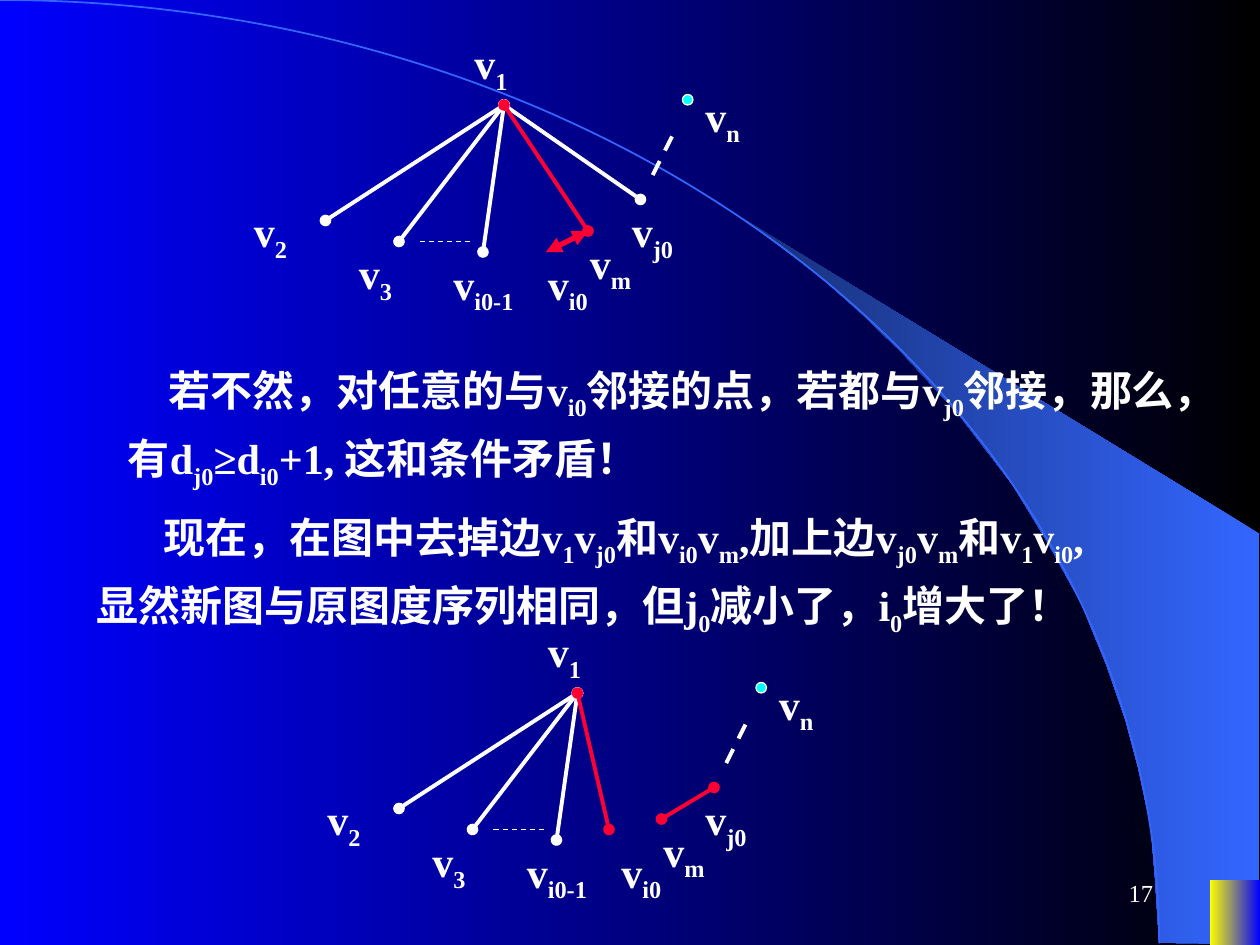
from lxml import etree
from pptx import Presentation
from pptx import util as u
from pptx.dml.color import RGBColor
from pptx.enum import dml, shapes, text
from pptx.oxml.ns import qn

PX = 7620
WHITE, RED, CYAN = "FFFFFF", "FF0033", "00FFFF"


def paint(fill, *colours):
    if len(colours) == 1:
        fill.solid()
        fill.fore_color.rgb = RGBColor.from_string(colours[0])
        return
    fill.gradient()
    fill.gradient_angle = 180
    for stop, colour in zip(fill.gradient_stops, colours):
        stop.color.rgb = RGBColor.from_string(colour)


def write(left, top, width, height, lines, size=24, bold=True):
    box = slide.shapes.add_textbox(left * PX, top * PX, width * PX, height * PX)
    frame = box.text_frame
    frame.word_wrap = True
    for number, line in enumerate(lines):
        paragraph = frame.paragraphs[0] if number == 0 else frame.add_paragraph()
        for index, part in enumerate(line.split("|")):
            if not part:
                continue
            run = paragraph.add_run()
            run.text = part
            run.font.name = "Times New Roman"
            run.font.size = u.Pt(size)
            run.font.bold = bold
            paint(run.font.fill, WHITE)
            if index % 2:
                run.font._element.set("baseline", "-25000")
    return frame


presentation = Presentation()
presentation.slide_width = 1200 * PX
presentation.slide_height = 900 * PX
slide = presentation.slides.add_slide(presentation.slide_layouts[6])
paint(slide.background.fill, "000000", "0000FF")

beam_points = [
    (1104, 898), (1199, 899), (1199, 508), (707, 208), (749, 239), (784, 266),
    (822, 300), (859, 336), (914, 396), (964, 461), (998, 517), (1030, 575),
    (1054, 634), (1072, 686), (1084, 731), (1096, 787), (1100, 835),
]
builder = slide.shapes.build_freeform(*beam_points[0], scale=PX)
builder.add_line_segments(beam_points[1:])
beam = builder.convert_to_shape()
beam.shadow.inherit = False
paint(beam.fill, "3366FF", "172F75")
beam.line.fill.background()

arc = slide.shapes.add_shape(
    shapes.MSO_SHAPE.ARC, -1104 * PX, 0, 2208 * PX, 1797 * PX)
arc.shadow.inherit = False
arc.fill.background()
paint(arc.line.fill, "3366FF")
arc.line.width = u.Pt(1)

corner = slide.shapes.add_shape(
    shapes.MSO_SHAPE.RECTANGLE, 1152 * PX, 838 * PX, 48 * PX, 62 * PX)
corner.shadow.inherit = False
paint(corner.fill, "0000FF", "FFFF00")
corner.line.fill.background()

arguments = [
    (50, 330, [
        (39, "若不然，对任意的与v|i0|邻接的点，若都与v|j0|邻接，那么，有d|j0|≥d|i0|+1, 这和条件矛盾！"),
    ]),
    (80, 470, [
        (4, "现在，在图中去掉边v|1|v|j0|和v|i0|v|m|,加上边v|j0|v|m|和v|1|v|i0|,"),
        (-60, "显然新图与原图度序列相同，但j|0|减小了，i|0|增大了！"),
    ]),
]
for left, top, lines in arguments:
    frame = write(left, top, 1080, 143, [line for _, line in lines])
    for paragraph, (indent, _) in zip(frame.paragraphs, lines):
        paragraph.line_spacing = 1.2
        properties = paragraph._p.get_or_add_pPr()
        properties.set("marL", str(60 * PX))
        properties.set("indent", str(indent * PX))

v1, v2, v3, vi_before = (480, 100), (310, 210), (380, 230), (460, 240)
vi, vj, vm = (510, 230), (610, 190), (560, 220)
shared_edges = [
    (v1, v2, WHITE, 2.25, "oval"),
    (v1, v3, WHITE, 2.25, "oval"),
    ((400, 230), (450, 230), WHITE, 0.75, None),
    (v1, vi_before, WHITE, 2.25, "oval"),
    ((640, 130), (620, 170), WHITE, 2.25, None),
]
before_edges = [
    (v1, vj, WHITE, 2.25, "oval"),
    (v1, vm, RED, 2.25, "oval"),
    (vm, (520, 240), RED, 3, "triangle"),
]
after_edges = [
    (v1, vi, RED, 2.25, "oval"),
    (vj, vm, RED, 2.25, "oval"),
]
labels = [
    ("1", 440, 30, 82), ("2", 230, 190, 82), ("3", 330, 230, 82),
    ("i0-1", 420, 240, 120), ("j0", 590, 190, 82), ("i0", 510, 240, 82),
    ("n", 660, 80, 82), ("m", 550, 220, 82),
]

for dx, dy, own_edges in [(0, 0, before_edges), (70, 560, after_edges)]:
    for start, end, colour, width, cap in shared_edges + own_edges:
        edge = slide.shapes.add_connector(
            shapes.MSO_CONNECTOR.STRAIGHT,
            (start[0] + dx) * PX, (start[1] + dy) * PX,
            (end[0] + dx) * PX, (end[1] + dy) * PX)
        paint(edge.line.fill, colour)
        edge.line.width = u.Pt(width)
        if cap:
            outline = edge.line._get_or_add_ln()
            for tag in ("a:headEnd", "a:tailEnd"):
                etree.SubElement(outline, qn(tag)).set("type", cap)
        else:
            edge.line.dash_style = dml.MSO_LINE.DASH
        etree.SubElement(edge._element.spPr, qn("a:effectLst"))
    vertex = slide.shapes.add_shape(
        shapes.MSO_SHAPE.OVAL, (650 + dx) * PX, (90 + dy) * PX, 10 * PX, 10 * PX)
    vertex.shadow.inherit = False
    paint(vertex.fill, CYAN)
    paint(vertex.line.fill, WHITE)
    vertex.line.width = u.Pt(0.75)
    for subscript, left, top, width in labels:
        write(left + dx, top + dy, width, 67, [f"v|{subscript}"])

number_frame = write(860, 820, 250, 60, ["17"], 14, False)
number_frame.vertical_anchor = text.MSO_ANCHOR.MIDDLE
number_frame.paragraphs[0].alignment = text.PP_ALIGN.RIGHT

presentation.save("out.pptx")
